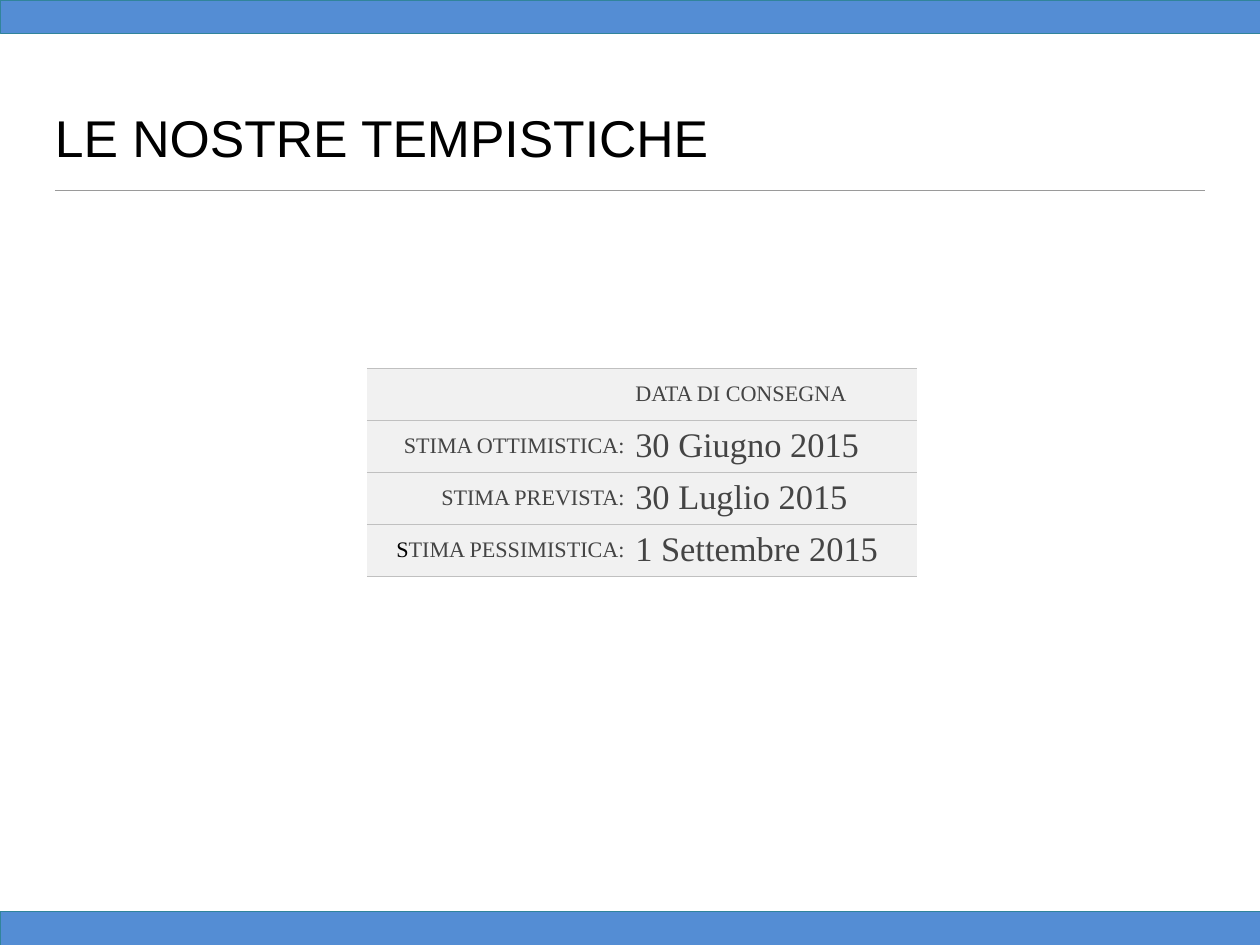
"""Build the delivery-estimates slide with its title, bars and date table."""
from dataclasses import dataclass
from typing import Any

import lxml.etree
import pptx
import pptx.dml.color
import pptx.enum.shapes
import pptx.enum.text
import pptx.oxml
import pptx.oxml.ns
import pptx.util

Inches = pptx.util.Inches
WIDTH, HEIGHT, MARGIN, BAR = 14.22, 10.67, 0.62, 0.38
SERIF, GREY, BLACK = "Times New Roman", "444444", "000000"


@dataclass
class Run:
    text: str
    size: int = 18
    color: str = GREY
    font: str = SERIF


@dataclass
class Estimate:
    label: list[Run]
    date: Run


ESTIMATES = [
    Estimate([], Run("DATA DI CONSEGNA")),
    Estimate([Run("STIMA OTTIMISTICA:")], Run("30 Giugno 2015", 28)),
    Estimate([Run("STIMA PREVISTA:")], Run("30 Luglio 2015", 28)),
    Estimate([Run("S", color=BLACK), Run("TIMA PESSIMISTICA:")], Run("1 Settembre 2015", 28)),
]


def rgb(value: str) -> pptx.dml.color.RGBColor:
    return pptx.dml.color.RGBColor.from_string(value)


def apply(target: Any, values: dict[str, Any]) -> None:
    for name, value in values.items():
        setattr(target, name, value)


def margins(size: float) -> dict[str, Any]:
    return {f"margin_{side}": Inches(size) for side in ("left", "right", "top", "bottom")}


def write(p: Any, runs: list[Run]) -> None:
    for run in runs:
        r = p.add_run()
        r.text = run.text
        apply(r.font, {"size": pptx.util.Pt(run.size), "name": run.font, "bold": False})
        r.font.color.rgb = rgb(run.color)


def add_bar(s: Any, top: float) -> None:
    sp = s.shapes.add_shape(pptx.enum.shapes.MSO_SHAPE.RECTANGLE,
                            0, Inches(top), Inches(WIDTH), Inches(BAR))
    sp.shadow.inherit = False
    sp.fill.solid()
    sp.fill.fore_color.rgb = rgb("548DD4")
    sp.line.color.rgb = rgb("31849B")
    sp.line.width = pptx.util.Pt(0.75)


def add_title(s: Any, text: str) -> None:
    sp = s.shapes.add_textbox(Inches(MARGIN), Inches(0.36), Inches(12.97), Inches(1.53))
    tf = sp.text_frame
    apply(tf, {"word_wrap": True, "vertical_anchor": pptx.enum.text.MSO_ANCHOR.BOTTOM,
               **margins(0)})
    write(tf.paragraphs[0], [Run(text, 42, BLACK, "Arial")])


def add_rule(s: Any) -> None:
    y = Inches(2.15)
    cx = s.shapes.add_connector(pptx.enum.shapes.MSO_CONNECTOR.STRAIGHT,
                                Inches(MARGIN), y, Inches(WIDTH - MARGIN), y)
    cx.line.color.rgb = rgb("9A9A9A")
    cx.line.width = pptx.util.Pt(1)
    lxml.etree.SubElement(cx.element.spPr, pptx.oxml.ns.qn("a:effectLst"))


def set_borders(cell: Any) -> None:
    line = '<a:solidFill><a:srgbClr val="C0C0C0"/></a:solidFill>'
    sides = {"L": "<a:noFill/>", "R": "<a:noFill/>", "T": line, "B": line}
    tcPr = cell._tc.get_or_add_tcPr()
    for i, (side, fill) in enumerate(sides.items()):
        tcPr.insert(i, pptx.oxml.parse_xml(
            f'<a:ln{side} {pptx.oxml.ns.nsdecls("a")} w="9525">{fill}</a:ln{side}>'))


def fill_cell(cell: Any, runs: list[Run], align: Any) -> None:
    apply(cell, {"vertical_anchor": pptx.enum.text.MSO_ANCHOR.MIDDLE, **margins(0.06)})
    cell.fill.solid()
    cell.fill.fore_color.rgb = rgb("F1F1F1")
    set_borders(cell)
    p = cell.text_frame.paragraphs[0]
    p.alignment = align
    write(p, runs)


def add_estimates(s: Any) -> None:
    table = s.shapes.add_table(len(ESTIMATES), 2, Inches(4.14), Inches(4.16),
                               Inches(6.21), Inches(2.34)).table
    apply(table, {"first_row": False, "horz_banding": False})
    for column, width in zip(table.columns, (2.97, 3.24)):
        column.width = Inches(width)
    for row, estimate in zip(table.rows, ESTIMATES):
        fill_cell(row.cells[0], estimate.label, pptx.enum.text.PP_ALIGN.RIGHT)
        fill_cell(row.cells[1], [estimate.date], pptx.enum.text.PP_ALIGN.LEFT)


def main() -> None:
    prs = pptx.Presentation()
    apply(prs, {"slide_width": Inches(WIDTH), "slide_height": Inches(HEIGHT)})
    s = prs.slides.add_slide(prs.slide_layouts[6])
    add_rule(s)
    add_title(s, "LE NOSTRE TEMPISTICHE")
    add_estimates(s)
    for top in (HEIGHT - BAR, 0):
        add_bar(s, top)
    prs.save("out.pptx")


if __name__ == "__main__":
    main()
